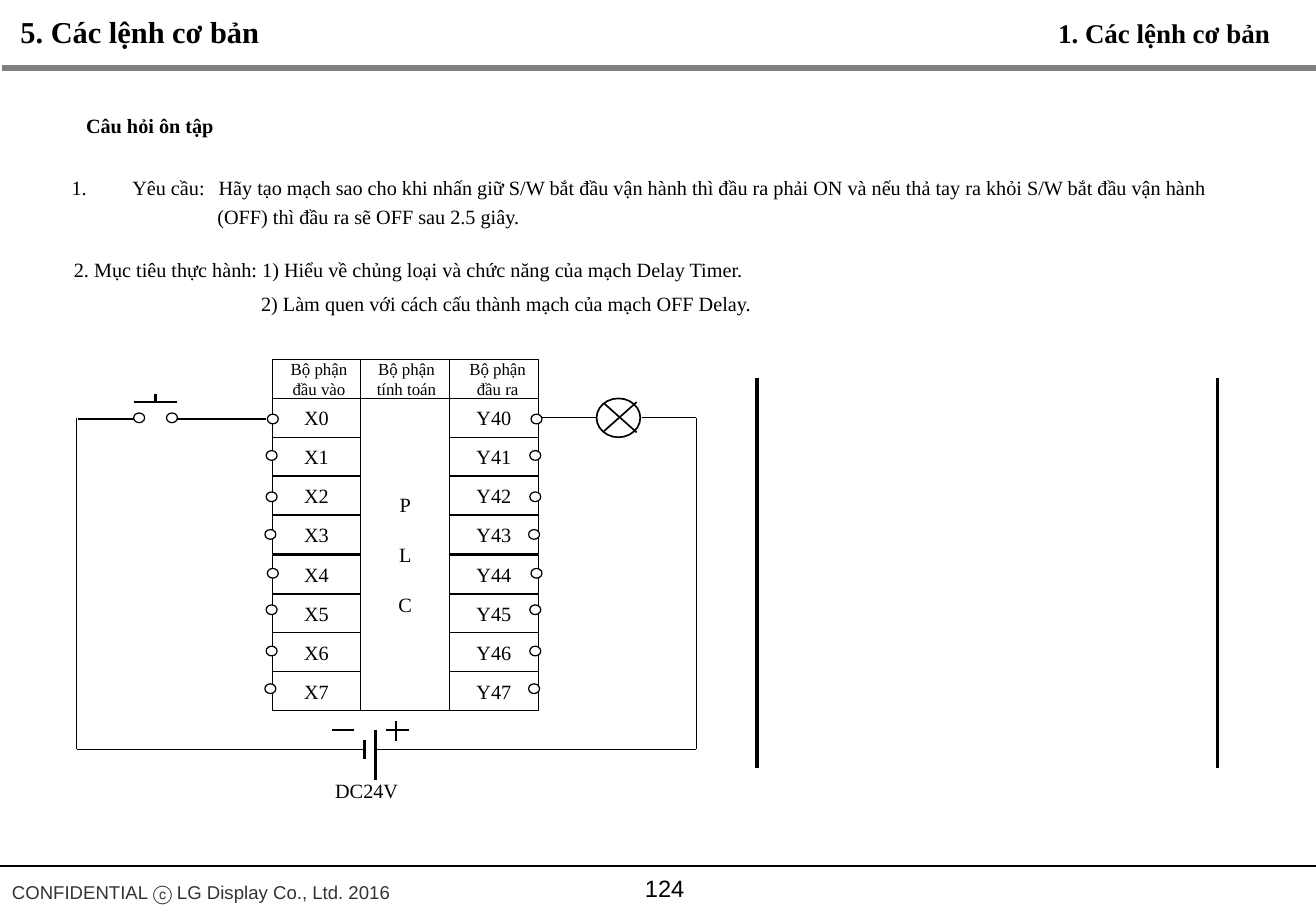
from pptx import Presentation
from pptx.dml.color import RGBColor as RGB
from pptx.enum.shapes import MSO_CONNECTOR as Link, MSO_SHAPE as Kind
from pptx.enum.text import MSO_ANCHOR as Anchor, PP_ALIGN as Align
from pptx.oxml.ns import qn
from pptx.util import Emu, Pt
from lxml.etree import SubElement as add_sub

BLACK = RGB(0, 0, 0)
WHITE = RGB(255, 255, 255)
GRAY = RGB(0x80, 0x80, 0x80)
DARK = RGB(0x33, 0x33, 0x33)
SERIF, SANS = "Times New Roman", "Arial"
SCALE = 9144  # EMU in one px, 100 px to the inch

# PLC block
LEFT, MID, RIGHT = 224, 297, 370
HEAD, TOP, WIDE, HIGH = 296, 328, 73, 32
ROWS, FULL = 8, 257
HEADS = [
    (LEFT, 4, "Bộ phận\nđầu vào"),
    (MID, 2, "Bộ phận\ntính toán"),
    (RIGHT, 6, "Bộ phận\nđầu ra"),
]
PINS = [(2, 0), (1, 30), (1, 64), (0, 95)]  # offsets in a group of four
PIN_STEP = 127

# Lines as x1, y1, x2, y2
WIRES = [
    (146, 345, 219, 345), (110, 345, 64, 345),  # switch leads
    (446, 344, 491, 344), (528, 344, 573, 344),  # lamp leads
    (63, 344, 63, 617), (63, 617, 300, 617),
    (309, 617, 573, 617), (573, 617, 573, 344),
    (318, 601, 337, 601), (326, 594, 326, 610),  # plus
    (273, 601, 291, 601),  # minus
]
PLATES = [
    (110, 331, 146, 331), (128, 324, 128, 332),  # push button
    (300, 609, 300, 625), (309, 601, 309, 642),  # battery
]
CROSS = [(497, 355, 524, 331), (497, 332, 524, 356)]
RAILS = [(623, 311, 623, 632), (1002, 311, 1002, 632)]


def px(num):
    return Emu(num * SCALE)


def fill_text(frame, text, size, font=SERIF, color=BLACK, bold=False,
              align=Align.LEFT, lead=None, gap=0):
    frame.text = text
    for num, para in enumerate(frame.paragraphs):
        para.alignment = align
        if lead:
            para.line_spacing = lead
        if num and gap:
            para.space_before = Pt(gap)
        para.font.name = font
        para.font.size = Pt(size)
        para.font.bold = bold
        para.font.color.rgb = color


def add_text(slide, box, text, size, wrap=False, **style):
    frame = slide.shapes.add_textbox(*map(px, box)).text_frame
    frame.word_wrap = wrap
    fill_text(frame, text, size, **style)
    return frame


def add_form(slide, kind, box, width=0.75):
    form = slide.shapes.add_shape(kind, *map(px, box))
    form.shadow.inherit = False
    form.fill.solid()
    form.fill.fore_color.rgb = WHITE
    form.line.color.rgb = BLACK
    form.line.width = Pt(width)
    return form


def add_cell(slide, box, text, size=12, pad=0, gap=0):
    frame = add_form(slide, Kind.RECTANGLE, box).text_frame
    frame.word_wrap = False
    frame.vertical_anchor = Anchor.MIDDLE
    frame.margin_left = px(pad)
    frame.margin_right = frame.margin_top = frame.margin_bottom = 0
    fill_text(frame, text, size, align=Align.CENTER, gap=gap)


def add_dot(slide, x, y):
    add_form(slide, Kind.OVAL, (x, y, 9, 8))


def add_lines(slide, ends, width=0.75, color=BLACK):
    for end in ends:
        line = slide.shapes.add_connector(Link.STRAIGHT, *map(px, end))
        line.line.color.rgb = color
        line.line.width = Pt(width)
        add_sub(line._element.spPr, qn("a:effectLst"))


def indent(para, left, hang=0):
    props = para._p.get_or_add_pPr()
    props.set("marL", str(px(left)))
    props.set("indent", str(px(-hang)))
    return props


def add_tasks(slide):
    text = ("Yêu cầu:\tHãy tạo mạch sao cho khi nhấn giữ S/W bắt đầu vận hành "
            "thì đầu ra phải ON và nếu thả tay ra khỏi S/W bắt đầu vận hành\n"
            "(OFF) thì đầu ra sẽ OFF sau 2.5 giây.")
    frame = add_text(slide, (49, 135, 968, 59), text, 12, wrap=True, lead=1.2)
    first, last = frame.paragraphs
    props = indent(first, 50, 50)
    add_sub(props, qn("a:buAutoNum"), type="arabicPeriod")
    stops = add_sub(props, qn("a:tabLst"))
    for stop in (71, 121):  # measured from the indent or from the box edge
        add_sub(stops, qn("a:tab"), pos=str(px(stop)), algn="l")
    indent(last, 120)

    text = ("2. Mục tiêu thực hành: 1) Hiểu về chủng loại và chức năng của mạch "
            "Delay Timer.\n2) Làm quen với cách cấu thành mạch của mạch OFF Delay.")
    frame = add_text(slide, (51, 199, 593, 67), text, 12, wrap=True, lead=1.4)
    first, last = frame.paragraphs
    indent(first, 50, 50)
    indent(last, 154)


def add_block(slide):
    for row in range(ROWS):
        y = TOP + round(row * (FULL - HIGH) / (ROWS - 1))
        add_cell(slide, (LEFT, y, WIDE, HIGH), f"X{row}")
        add_cell(slide, (RIGHT, y, WIDE, HIGH), f"Y4{row}")
    add_cell(slide, (MID, TOP, WIDE, FULL), "P\nL\nC", gap=15)
    for x, pad, text in HEADS:
        add_cell(slide, (x, HEAD, WIDE, HIGH), text, 10, pad)
    for row in range(ROWS):
        turn, slot = divmod(row, len(PINS))
        dx, dy = PINS[slot]
        for x in (218, 435):
            add_dot(slide, x + dx, 341 + turn * PIN_STEP + dy)


def add_loop(slide):
    for x in (110, 137):
        add_dot(slide, x, 340)
    add_form(slide, Kind.OVAL, (491, 328, 36, 32), 1)
    add_lines(slide, CROSS, 1)
    add_lines(slide, WIRES)
    add_lines(slide, PLATES, 1.5)
    add_text(slide, (266, 636, 72, 30), "DC24V", 12)


def main():
    deck = Presentation()
    deck.slide_width, deck.slide_height = px(1083), px(750)
    slide = deck.slides.add_slide(deck.slide_layouts[6])

    # Header and footer
    add_lines(slide, [(2, 56, 1083, 56)], 3, GRAY)
    add_lines(slide, [(0, 713, 1083, 713)])
    add_text(slide, (7, 6, 219, 40), "5. Các lệnh cơ bản", 18, bold=True)
    add_text(slide, (861, 9, 197, 37), "1. Các lệnh cơ bản", 16, bold=True)
    add_text(slide, (0, 717, 334, 30), "CONFIDENTIAL ⓒ LG Display Co., Ltd. 2016",
             11, font=SANS, color=DARK, lead=1.2)
    page = add_text(slide, (443, 706, 208, 50), "124", 14, wrap=True,
                    font=SANS, align=Align.CENTER)
    page.vertical_anchor = Anchor.MIDDLE

    # Questions
    add_text(slide, (61, 88, 126, 30), "Câu hỏi ôn tập", 12, bold=True)
    add_tasks(slide)

    # Circuit and the empty ladder
    add_block(slide)
    add_loop(slide)
    add_lines(slide, RAILS, 2.25)

    deck.save("out.pptx")


if __name__ == "__main__":
    main()
